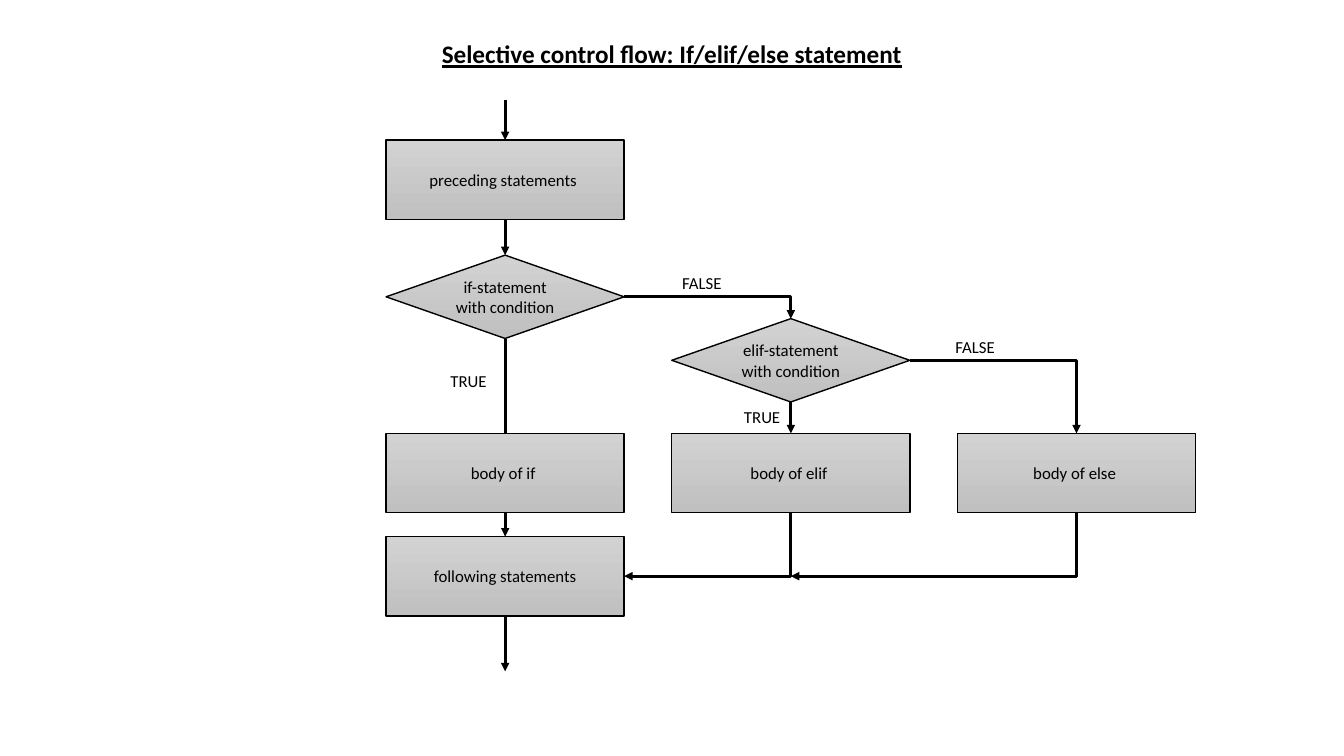
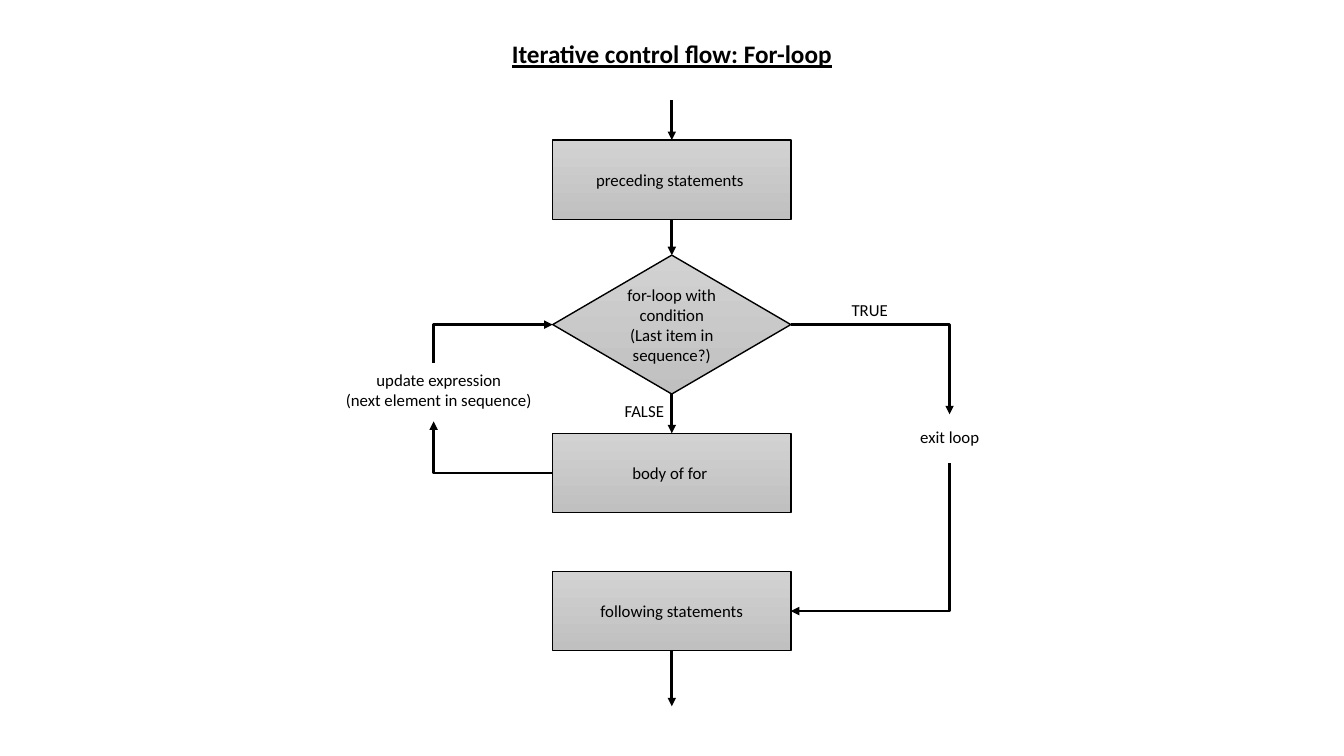
from dataclasses import dataclass
from typing import Any

from lxml import etree
from pptx import Presentation
from pptx.dml.color import RGBColor
from pptx.enum.shapes import MSO_CONNECTOR, MSO_SHAPE
from pptx.enum.text import MSO_ANCHOR, MSO_AUTO_SIZE, PP_ALIGN
from pptx.oxml.ns import qn
from pptx.util import Cm, Pt

PROCESS = MSO_SHAPE.FLOWCHART_PROCESS
DECISION = MSO_SHAPE.FLOWCHART_DECISION
STRAIGHT, ELBOW = MSO_CONNECTOR.STRAIGHT, MSO_CONNECTOR.ELBOW
LEFT, CENTER = PP_ALIGN.LEFT, PP_ALIGN.CENTER
TOP, MIDDLE = MSO_ANCHOR.TOP, MSO_ANCHOR.MIDDLE
FIT_TEXT = MSO_AUTO_SIZE.SHAPE_TO_FIT_TEXT

BLACK = RGBColor(0x00, 0x00, 0x00)
GREY_LIGHT = RGBColor(0xD2, 0xD2, 0xD2)
GREY_DARK = RGBColor(0xC0, 0xC0, 0xC0)
FONT = "Calibri"

# Connection sites of the flowchart shapes
SITE_TOP, SITE_LEFT, SITE_BOTTOM, SITE_RIGHT = range(4)

# Shared measures in centimetres
PAGE_WIDTH, PAGE_HEIGHT = 33.87, 19.05
PAGE_CENTER = 16.93
NODE_WIDTH, PROCESS_HEIGHT, DECISION_HEIGHT = 6, 2, 2.1
ENTRY_TOP, PRECEDING_TOP, DECISION_TOP, BODY_TOP = 2.53, 3.53, 6.43, 10.92
EXIT_LENGTH = 1.4


@dataclass
class End:
    """One end of a connector: a site of a shape, or a free point in cm."""
    x: float = 0
    y: float = 0
    shape: Any = None
    site: int = SITE_TOP


def at_site(shape, site):
    return End(shape=shape, site=site)


def write(frame, text, *, size=12, bold=False, underline=False, align=LEFT, anchor=TOP):
    """Fill a text frame, one paragraph for each line of the text."""
    frame.vertical_anchor = anchor
    for index, line in enumerate(text.split("\n")):
        para = frame.paragraphs[0] if index == 0 else frame.add_paragraph()
        para.alignment = align
        span = para.add_run()
        span.text = line
        span.font.name = FONT
        span.font.size = Pt(size)
        span.font.bold = bold
        span.font.underline = underline
        span.font.color.rgb = BLACK


class FlowDeck:
    """Holds the presentation, its style and the page being drawn."""

    def __init__(self):
        self.deck = Presentation()
        self.deck.slide_width = Cm(PAGE_WIDTH)
        self.deck.slide_height = Cm(PAGE_HEIGHT)
        self.page = None

    def add_page(self, title):
        self.page = self.deck.slides.add_slide(self.deck.slide_layouts[5])
        box = self.page.shapes.title
        width = 16
        box.left, box.top = Cm(PAGE_CENTER - width / 2), Cm(0.84)
        box.width, box.height = Cm(width), Cm(1.02)
        write(box.text_frame, title, size=18, bold=True, underline=True, align=CENTER)

    def node(self, kind, text, center, top, height):
        box = self.page.shapes.add_shape(
            kind, Cm(center - NODE_WIDTH / 2), Cm(top), Cm(NODE_WIDTH), Cm(height))
        box.shadow.inherit = False
        box.fill.gradient()
        box.fill.gradient_angle = 270
        for stop, color in zip(box.fill.gradient_stops, (GREY_LIGHT, GREY_DARK)):
            stop.color.rgb = color
        box.line.color.rgb = BLACK
        box.line.width = Pt(1)
        write(box.text_frame, text, align=CENTER, anchor=MIDDLE)
        return box

    def process(self, text, center, top):
        return self.node(PROCESS, text, center, top, PROCESS_HEIGHT)

    def decision(self, text, center, top, height=DECISION_HEIGHT):
        return self.node(DECISION, text, center, top, height)

    def label(self, text, left, top, width, height=0.77, align=LEFT):
        box = self.page.shapes.add_textbox(Cm(left), Cm(top), Cm(width), Cm(height))
        box.text_frame.word_wrap = False
        box.text_frame.auto_size = FIT_TEXT
        write(box.text_frame, text, align=align)

    def arrow(self, begin, end, kind=STRAIGHT, head="tailEnd"):
        """Join two ends; head is the end that carries the arrowhead."""
        line = self.page.shapes.add_connector(
            kind, Cm(begin.x), Cm(begin.y), Cm(end.x), Cm(end.y))
        if begin.shape is not None:
            line.begin_connect(begin.shape, begin.site)
        if end.shape is not None:
            line.end_connect(end.shape, end.site)
        line.line.color.rgb = BLACK
        line.line.width = Pt(2)
        properties = line._element.spPr
        etree.SubElement(properties.find(qn("a:ln")), qn(f"a:{head}"), type="triangle")
        etree.SubElement(properties, qn("a:effectLst"))
        if kind == ELBOW:
            properties.find(qn("a:prstGeom")).set("prst", "bentConnector2")

    def elbow(self, side, end, inward=False):
        """Leave a side horizontally, turn once; inward points at the side."""
        self.arrow(side, end, ELBOW, "headEnd" if inward else "tailEnd")

    def down(self, upper, lower):
        self.arrow(at_site(upper, SITE_BOTTOM), at_site(lower, SITE_TOP))

    def frame_flow(self, center, following_top):
        """Draw the first and last step with the arrows into and out of the flow."""
        preceding = self.process("preceding statements ", center, PRECEDING_TOP)
        following = self.process("following statements", center, following_top)
        self.arrow(End(center, ENTRY_TOP), at_site(preceding, SITE_TOP))
        exit_bottom = following_top + PROCESS_HEIGHT + EXIT_LENGTH
        self.arrow(at_site(following, SITE_BOTTOM), End(center, exit_bottom))
        return preceding, following

    def true_label(self, left, top):
        self.label("TRUE", left, top, 1.45)

    def false_label(self, left, top):
        self.label("FALSE", left, top, 1.53)


def draw_selection(flow):
    flow.add_page("Selective control flow: If/elif/else statement")
    if_center, elif_center, else_center = (12.73 + 7.2 * column for column in range(3))
    following_top = 13.52

    preceding, following = flow.frame_flow(if_center, following_top)
    if_test = flow.decision("if-statement with condition", if_center, DECISION_TOP)
    elif_test = flow.decision("elif-statement with condition", elif_center, 8.03)
    flow.down(preceding, if_test)
    flow.down(if_test, following)

    flow.process("body of if ", if_center, BODY_TOP)
    elif_body = flow.process("body of elif ", elif_center, BODY_TOP)
    else_body = flow.process("body of else ", else_center, BODY_TOP)
    flow.down(elif_test, elif_body)
    flow.elbow(at_site(if_test, SITE_RIGHT), at_site(elif_test, SITE_TOP))
    flow.elbow(at_site(elif_test, SITE_RIGHT), at_site(else_body, SITE_TOP))
    junction = End(elif_center, following_top + PROCESS_HEIGHT / 2)
    flow.elbow(at_site(following, SITE_RIGHT), at_site(elif_body, SITE_BOTTOM), inward=True)
    flow.elbow(junction, at_site(else_body, SITE_BOTTOM), inward=True)

    flow.true_label(11.1, 9.22)
    flow.true_label(18.5, 10.13)
    flow.false_label(16.94, 6.76)
    flow.false_label(23.83, 8.36)


def draw_iteration(flow):
    flow.add_page("Iterative control flow: For-loop")
    update_center, exit_center = 10.93, 23.93

    preceding, following = flow.frame_flow(PAGE_CENTER, 14.4)
    test = flow.decision("for-loop with condition\n(Last item in sequence?)",
                         PAGE_CENTER, DECISION_TOP, height=3.5)
    body = flow.process("body of for ", PAGE_CENTER, BODY_TOP)
    flow.down(preceding, test)
    flow.down(test, body)

    flow.elbow(at_site(test, SITE_RIGHT), End(exit_center, 10.44))
    flow.elbow(at_site(following, SITE_RIGHT), End(exit_center, 11.68), inward=True)
    flow.elbow(at_site(body, SITE_LEFT), End(update_center, 10.62))
    flow.elbow(at_site(test, SITE_LEFT), End(update_center, 9.14), inward=True)

    flow.true_label(21.21, 7.42)
    flow.false_label(15.49, 9.98)
    flow.label("update expression\n(next element in sequence)", 8.43, 9.19, 5.26,
               height=1.27, align=CENTER)
    flow.label("exit loop", 22.94, 10.62, 2.03)


def main():
    flow = FlowDeck()
    draw_selection(flow)
    draw_iteration(flow)
    flow.deck.save("out.pptx")


if __name__ == "__main__":
    main()
